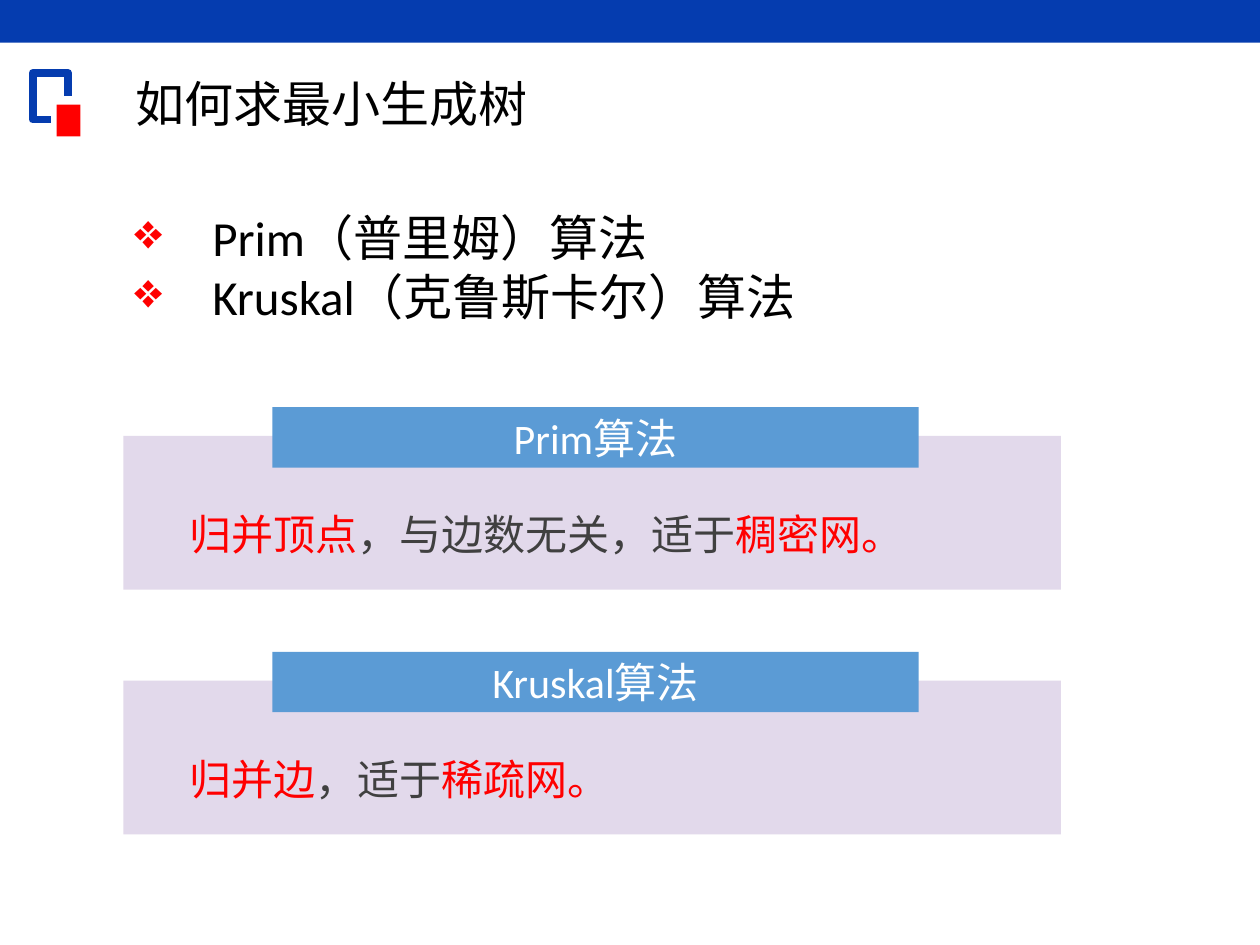
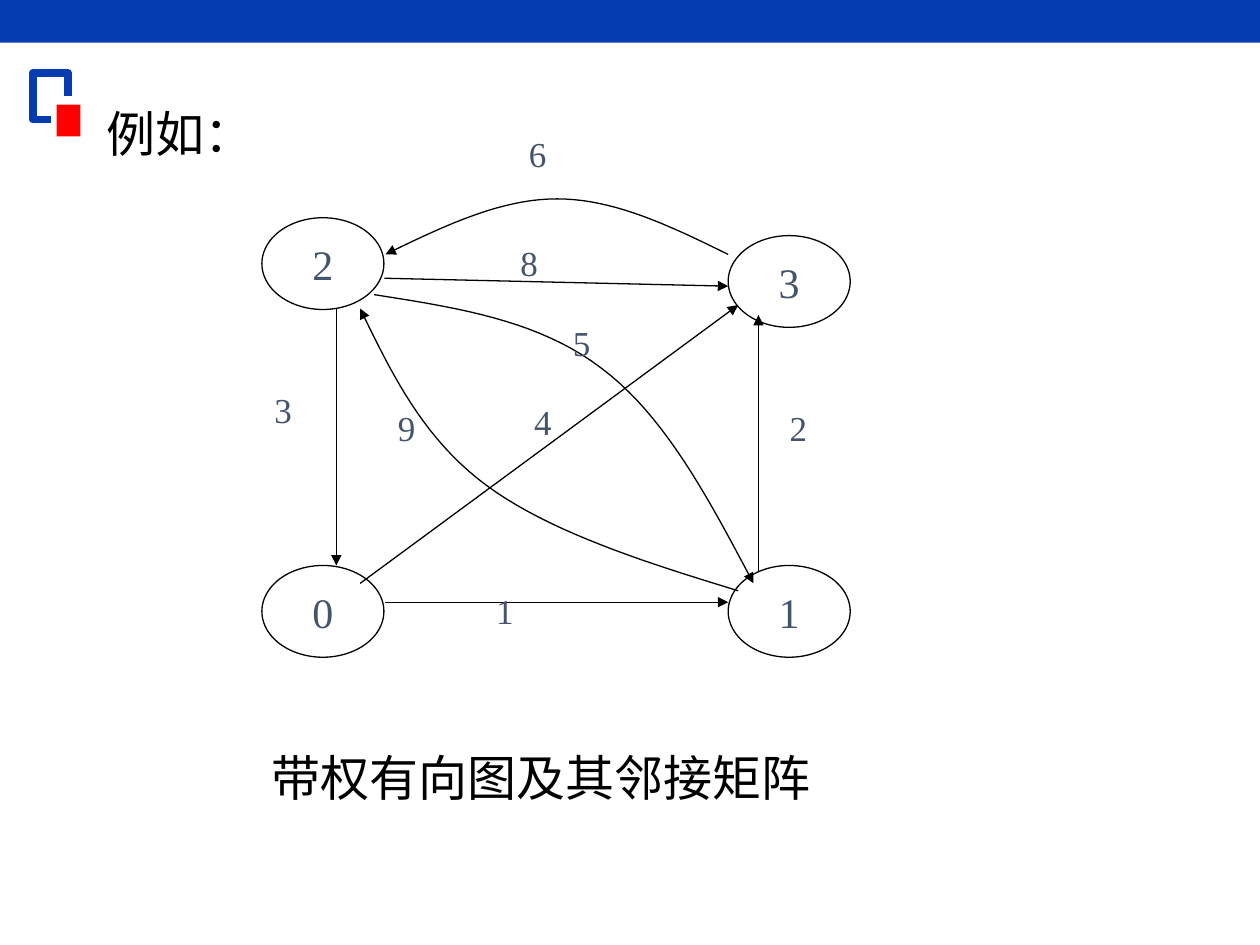
import lxml.etree
import pptx
import pptx.dml.color
import pptx.enum.shapes
import pptx.enum.text
import pptx.oxml.ns
import pptx.util

Cm = pptx.util.Cm
Pt = pptx.util.Pt
RGBColor = pptx.dml.color.RGBColor
SHAPE = pptx.enum.shapes.MSO_SHAPE
ALIGN = pptx.enum.text.PP_ALIGN
ANCHOR = pptx.enum.text.MSO_ANCHOR

BLUE = RGBColor(0x05, 0x3C, 0xAF)
RED = RGBColor(0xFF, 0x00, 0x00)
BLACK = RGBColor(0x00, 0x00, 0x00)
WHITE = RGBColor(0xFF, 0xFF, 0xFF)
LILAC = RGBColor(0xE2, 0xD9, 0xEB)
SKY = RGBColor(0x5B, 0x9B, 0xD5)
GREY = RGBColor(0x40, 0x40, 0x40)
SLATE = RGBColor(0x44, 0x54, 0x6A)

TEXT_FONT = "Calibri"
NUMBER_FONT = "Times New Roman"
SLIDE_WIDTH, SLIDE_HEIGHT = 25.4, 19.05
NODE_WIDTH, NODE_HEIGHT = 2.46, 1.85
CURVE_STEPS = 20

ALGORITHMS = ["Prim（普里姆）算法", "Kruskal（克鲁斯卡尔）算法"]
CARDS = [
    ("Prim算法", [("归并顶点", RED), ("，与边数无关，适于", GREY), ("稠密网。", RED)]),
    ("Kruskal算法", [("归并边", RED), ("，适于", GREY), ("稀疏网。", RED)]),
]

# Graph places are in centimetres from the graph's top left corner.
NODES = {"2": (0, 1.85), "3": (9.4, 2.21), "1": (9.4, 8.86), "0": (0, 8.86)}
STRAIGHT_EDGES = [
    ((1.98, 9.22), (9.6, 3.61)),
    ((2.47, 3.07), (9.4, 3.23)),
    ((1.5, 3.68), (1.5, 8.86)),
    ((2.49, 9.6), (9.4, 9.6)),
    ((10.01, 8.97), (10.01, 3.81)),
]
# Each curve is a start point followed by two cubic segments of three points.
CURVED_EDGES = [
    [(9.4, 2.59), (8.26, 2.03), (7.11, 1.47), (5.95, 1.47),
     (4.8, 1.47), (3.64, 2.03), (2.49, 2.59)],
    [(2.26, 3.4), (3.91, 3.66), (5.57, 3.91), (6.84, 4.88),
     (8.13, 5.84), (9.02, 7.54), (9.91, 9.22)],
    [(9.6, 9.37), (7.7, 8.79), (5.79, 8.18), (4.52, 7.24),
     (3.25, 6.3), (2.62, 5.0), (1.98, 3.68)],
]
WEIGHTS = {
    "6": (5.13, 0), "4": (5.24, 5.41), "2": (10.39, 5.54), "8": (4.96, 2.21),
    "3": (0, 5.16), "9": (2.49, 5.54), "5": (6.02, 3.81), "1": (4.47, 9.22),
}


def add_run(paragraph, text, size, color, font=TEXT_FONT):
    run = paragraph.add_run()
    run.text = text
    run.font.size = Pt(size)
    run.font.name = font
    run.font.color.rgb = color


def add_text_box(slide, left, top, width, height, anchor=ANCHOR.TOP):
    frame = slide.shapes.add_textbox(Cm(left), Cm(top), Cm(width), Cm(height)).text_frame
    frame.word_wrap = True
    frame.vertical_anchor = anchor
    return frame


def add_heading(slide, text, left, top, width):
    frame = add_text_box(slide, left, top, width, 1.42, ANCHOR.MIDDLE)
    add_run(frame.paragraphs[0], text, 28, BLACK)


def add_block(slide, left, top, width, height, fill):
    shape = slide.shapes.add_shape(
        SHAPE.RECTANGLE, Cm(left), Cm(top), Cm(width), Cm(height))
    shape.shadow.inherit = False
    shape.fill.solid()
    shape.fill.fore_color.rgb = fill
    shape.line.fill.background()
    return shape


def set_line(shape, color, width):
    shape.line.color.rgb = color
    shape.line.width = Pt(width)


def add_open_path(slide, points, color, width):
    vertices = [(Cm(x), Cm(y)) for x, y in points]
    builder = slide.shapes.build_freeform(*vertices[0])
    builder.add_line_segments(vertices[1:], close=False)
    shape = builder.convert_to_shape()
    shape.shadow.inherit = False
    shape.fill.background()
    set_line(shape, color, width)
    return shape


def add_arrowhead(shape):
    tail = lxml.etree.SubElement(shape.line._get_or_add_ln(), pptx.oxml.ns.qn("a:tailEnd"))
    tail.set("type", "triangle")


def curve_points(points):
    """Return points sampled along a chain of cubic Bézier segments."""
    sampled = [points[0]]
    for first in range(0, len(points) - 1, 3):
        controls = points[first:first + 4]
        for step in range(1, CURVE_STEPS + 1):
            t = step / CURVE_STEPS
            factors = ((1 - t) ** 3, 3 * t * (1 - t) ** 2, 3 * t ** 2 * (1 - t), t ** 3)
            sampled.append(tuple(
                sum(factor * control[axis] for factor, control in zip(factors, controls))
                for axis in (0, 1)))
    return sampled


def add_corner_mark(slide, left, top):
    bracket = [(0.36, 0.94), (0, 0.94), (0, 0), (0.71, 0), (0.71, 0.46)]
    add_open_path(slide, [(left + x, top + y) for x, y in bracket], BLUE, 4.5)
    add_block(slide, left + 0.48, top + 0.64, 0.48, 0.64, RED)


def add_base_slide(presentation):
    """Add a blank slide with the shared top band and corner mark."""
    slide = presentation.slides.add_slide(presentation.slide_layouts[6])
    add_block(slide, 0, 0, SLIDE_WIDTH, 0.86, BLUE)
    add_corner_mark(slide, 0.66, 1.47)
    return slide


def set_bullet(paragraph, character, color, indent):
    properties = paragraph._p.get_or_add_pPr()
    properties.set("marL", str(Cm(indent)))
    properties.set("indent", str(-Cm(indent)))
    bullet_color = lxml.etree.SubElement(properties, pptx.oxml.ns.qn("a:buClr"))
    lxml.etree.SubElement(bullet_color, pptx.oxml.ns.qn("a:srgbClr")).set("val", str(color))
    lxml.etree.SubElement(properties, pptx.oxml.ns.qn("a:buChar")).set("char", character)


def add_bullet_list(slide, items, left, top, width, height):
    frame = add_text_box(slide, left, top, width, height)
    for index, item in enumerate(items):
        paragraph = frame.add_paragraph() if index else frame.paragraphs[0]
        set_bullet(paragraph, "❖", RED, 1.57)
        add_run(paragraph, item, 28, BLACK)


def add_card(slide, title, runs, left, top, width, height):
    """Add a panel with a header bar straddling its top edge."""
    add_block(slide, left, top, width, height, LILAC)
    header = add_block(slide, left + 3, top - 0.58, width - 5.87, 1.22, SKY)
    header.text_frame.vertical_anchor = ANCHOR.MIDDLE
    heading = header.text_frame.paragraphs[0]
    heading.alignment = ALIGN.CENTER
    add_run(heading, title, 24, WHITE)
    body = add_text_box(slide, left + 1.09, top + 1.04, width - 2.11, 1.45).paragraphs[0]
    body.line_spacing = 1.3
    for text, color in runs:
        add_run(body, text, 24, color)


def add_node(slide, name, left, top):
    node = slide.shapes.add_shape(
        SHAPE.OVAL, Cm(left), Cm(top), Cm(NODE_WIDTH), Cm(NODE_HEIGHT))
    node.shadow.inherit = False
    node.fill.background()
    set_line(node, BLACK, 0.75)
    node.text_frame.word_wrap = False
    node.text_frame.vertical_anchor = ANCHOR.MIDDLE
    paragraph = node.text_frame.paragraphs[0]
    paragraph.alignment = ALIGN.CENTER
    add_run(paragraph, name, 24, SLATE, NUMBER_FONT)


def add_straight_edge(slide, start, end):
    edge = slide.shapes.add_connector(
        pptx.enum.shapes.MSO_CONNECTOR.STRAIGHT, *(Cm(value) for value in start + end))
    set_line(edge, BLACK, 0.75)
    add_arrowhead(edge)
    lxml.etree.SubElement(edge._element.spPr, pptx.oxml.ns.qn("a:effectLst"))


def add_weighted_graph(slide, left, top):
    def place(point):
        return left + point[0], top + point[1]

    for name, corner in NODES.items():
        add_node(slide, name, *place(corner))
    for start, end in STRAIGHT_EDGES:
        add_straight_edge(slide, place(start), place(end))
    for controls in CURVED_EDGES:
        points = curve_points([place(point) for point in controls])
        add_arrowhead(add_open_path(slide, points, BLACK, 0.75))
    for weight, corner in WEIGHTS.items():
        frame = add_text_box(slide, *place(corner), 1.98, 1.93)
        add_run(frame.paragraphs[0], weight, 20, SLATE, NUMBER_FONT)


def add_algorithms_slide(presentation):
    slide = add_base_slide(presentation)
    add_bullet_list(slide, ALGORITHMS, 2.46, 4.06, 18.92, 2.74)
    add_heading(slide, "如何求最小生成树", 2.49, 1.37, 14.2)
    for index, (title, runs) in enumerate(CARDS):
        add_card(slide, title, runs, 2.49, 8.79 + index * 4.93, 18.9, 3.1)


def add_example_slide(presentation):
    slide = add_base_slide(presentation)
    add_heading(slide, "例如：", 1.9, 1.98, 6)
    add_weighted_graph(slide, 5.28, 2.54)
    add_heading(slide, "带权有向图及其邻接矩阵", 5.23, 14.95, 14)


def main():
    presentation = pptx.Presentation()
    presentation.slide_width = Cm(SLIDE_WIDTH)
    presentation.slide_height = Cm(SLIDE_HEIGHT)
    add_algorithms_slide(presentation)
    add_example_slide(presentation)
    presentation.save("out.pptx")


if __name__ == "__main__":
    main()
